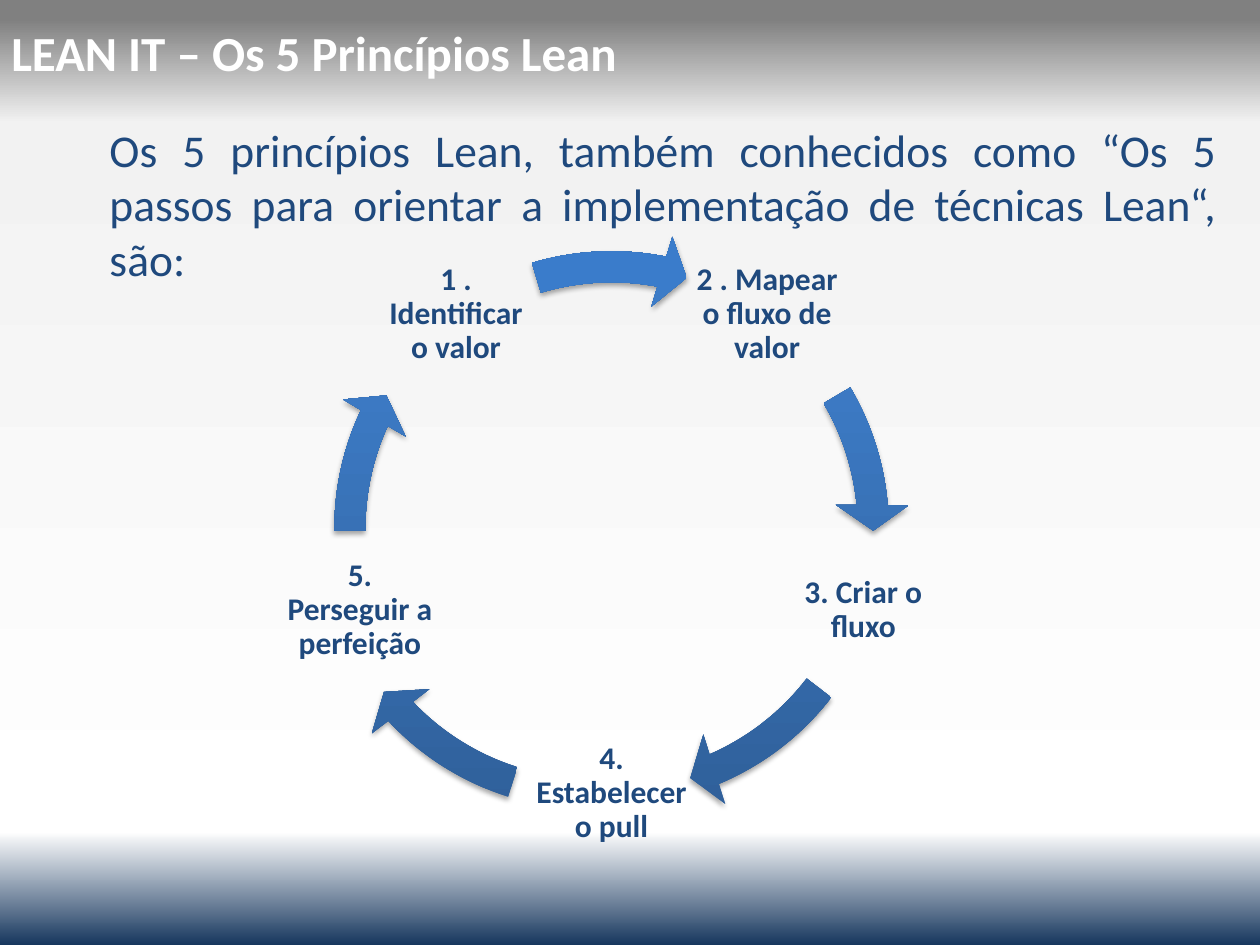
import math

from lxml import etree
from pptx import Presentation
from pptx.dml.color import RGBColor
from pptx.enum.shapes import MSO_SHAPE
from pptx.enum.text import MSO_ANCHOR, PP_ALIGN
from pptx.oxml.ns import qn
from pptx.util import Pt

CIRCULAR_ARROW = MSO_SHAPE.CIRCULAR_ARROW
TOP, MIDDLE = MSO_ANCHOR.TOP, MSO_ANCHOR.MIDDLE
LEFT, CENTER, JUSTIFY = PP_ALIGN.LEFT, PP_ALIGN.CENTER, PP_ALIGN.JUSTIFY

COLORS = {
    "title": "FFFFFF",
    "text": "1F497D",
    "header": "808080",
    "page_top": "F2F2F2",
    "page_bottom": "FFFFFF",
    "footer": "17375E",
    "arrow_dark": "2F5F99",
    "arrow_mid": "3D7CC7",
    "arrow_light": "3A7CCB",
    "shadow": "000000",
}


def set_gradient(fill, element, stops, angle):
    """Fill with (percent, colour name) stops; angle is counter-clockwise."""
    fill.gradient()
    fill.gradient_angle = angle
    stop_list = element.find(".//" + qn("a:gsLst"))
    for old_stop in list(stop_list):
        stop_list.remove(old_stop)
    for percent, color in stops:
        stop = etree.SubElement(stop_list, qn("a:gs"), pos=str(percent * 1000))
        etree.SubElement(stop, qn("a:srgbClr"), val=COLORS[color])


def add_text(bounds, text, size, color, bold, align, anchor, insets):
    """Add a one-paragraph text box; insets run left, top, right, bottom."""
    box = page.shapes.add_textbox(*[Pt(length) for length in bounds])
    frame = box.text_frame
    frame.word_wrap = True
    frame.vertical_anchor = anchor
    (frame.margin_left, frame.margin_top,
     frame.margin_right, frame.margin_bottom) = [Pt(inset) for inset in insets]
    para = frame.paragraphs[0]
    para.text = text
    para.alignment = align
    para.font.name = "Calibri"
    para.font.size = Pt(size)
    para.font.bold = bold
    para.font.color.rgb = RGBColor.from_string(COLORS[color])
    return para


deck = Presentation()
deck.slide_width, deck.slide_height = Pt(720), Pt(540)
page = deck.slides.add_slide(deck.slide_layouts[6])

# Background: grey header band, pale page, dark blue footer band
set_gradient(
    page.background.fill, page.element,
    [(2, "header"), (13, "page_top"), (88, "page_bottom"), (100, "footer")], 270)

# Introduction
add_text(
    (19.4, 66.2, 684, 380.2),
    "Os 5 princípios Lean, também conhecidos como “Os 5 passos para orientar "
    "a implementação de técnicas Lean“, são:",
    26, "text", False, JUSTIFY, TOP, (43.2, 3.5, 7.5, 0))

# Cycle: labels spaced evenly on a circle, each followed by a clockwise arrow
CENTER_X, CENTER_Y, RADIUS = 349.5, 302, 151.2
LABEL_SIZE, ARROW_SIZE = 90.7, 340.6
FIRST_ANGLE = -126  # degrees clockwise from the right
ARROW_THICKNESS, HEAD_ANGLE, HEAD_HALF_WIDTH = 0.052, 3.36, 0.061

# Label, arrow end and start angles (adjustment units), arrow shift (x, y)
steps = [
    ("1 . Identificar o valor", 168.65, 151.99, 0, 0),
    ("2 . Mapear o fluxo de valor", 212.93, 197.67, 0, 0),
    ("3. Criar o fluxo", 40.14, 22.54, 0, 0),
    ("4. Estabelecer o pull", 82.1, 64.5, -11.5, 2.2),
    ("5. Perseguir a perfeição", 122.98, 107.71, 0, 0),
]

for index, (label, end_angle, start_angle, shift_x, shift_y) in enumerate(steps):
    label_angle = math.radians(FIRST_ANGLE + index * 360 / len(steps))
    label_left = CENTER_X + RADIUS * math.cos(label_angle) - LABEL_SIZE / 2
    label_top = CENTER_Y + RADIUS * math.sin(label_angle) - LABEL_SIZE / 2
    para = add_text((label_left, label_top, LABEL_SIZE, LABEL_SIZE), label,
                    18, "text", True, CENTER, MIDDLE, (2, 2, 2, 2))
    para.line_spacing = 0.9
    para.space_after = Pt(6.3)

    arrow_left = CENTER_X - ARROW_SIZE / 2 + shift_x
    arrow_top = CENTER_Y - ARROW_SIZE / 2 + shift_y
    arrow = page.shapes.add_shape(
        CIRCULAR_ARROW, Pt(arrow_left), Pt(arrow_top),
        Pt(ARROW_SIZE), Pt(ARROW_SIZE))
    adjustments = (ARROW_THICKNESS, HEAD_ANGLE, end_angle, start_angle,
                   HEAD_HALF_WIDTH)
    for position, value in enumerate(adjustments):
        arrow.adjustments[position] = value
    set_gradient(
        arrow.fill, arrow.element,
        [(0, "arrow_dark"), (80, "arrow_mid"), (100, "arrow_light")], 90)
    arrow.line.fill.background()

    # Soft shadow falling straight down
    arrow.shadow.inherit = False
    effects = arrow.element.spPr.find(qn("a:effectLst"))
    shadow = etree.SubElement(
        effects, qn("a:outerShdw"), blurRad=str(Pt(3.1)), dist=str(Pt(1.8)),
        dir="5400000", rotWithShape="0")
    shade = etree.SubElement(shadow, qn("a:srgbClr"), val=COLORS["shadow"])
    etree.SubElement(shade, qn("a:alpha"), val="35000")

# Title
add_text((6.5, 10.8, 599.8, 37.4), "LEAN IT – Os 5 Princípios Lean",
         28, "title", True, LEFT, MIDDLE, (0, 0, 0, 0))

deck.save("out.pptx")
